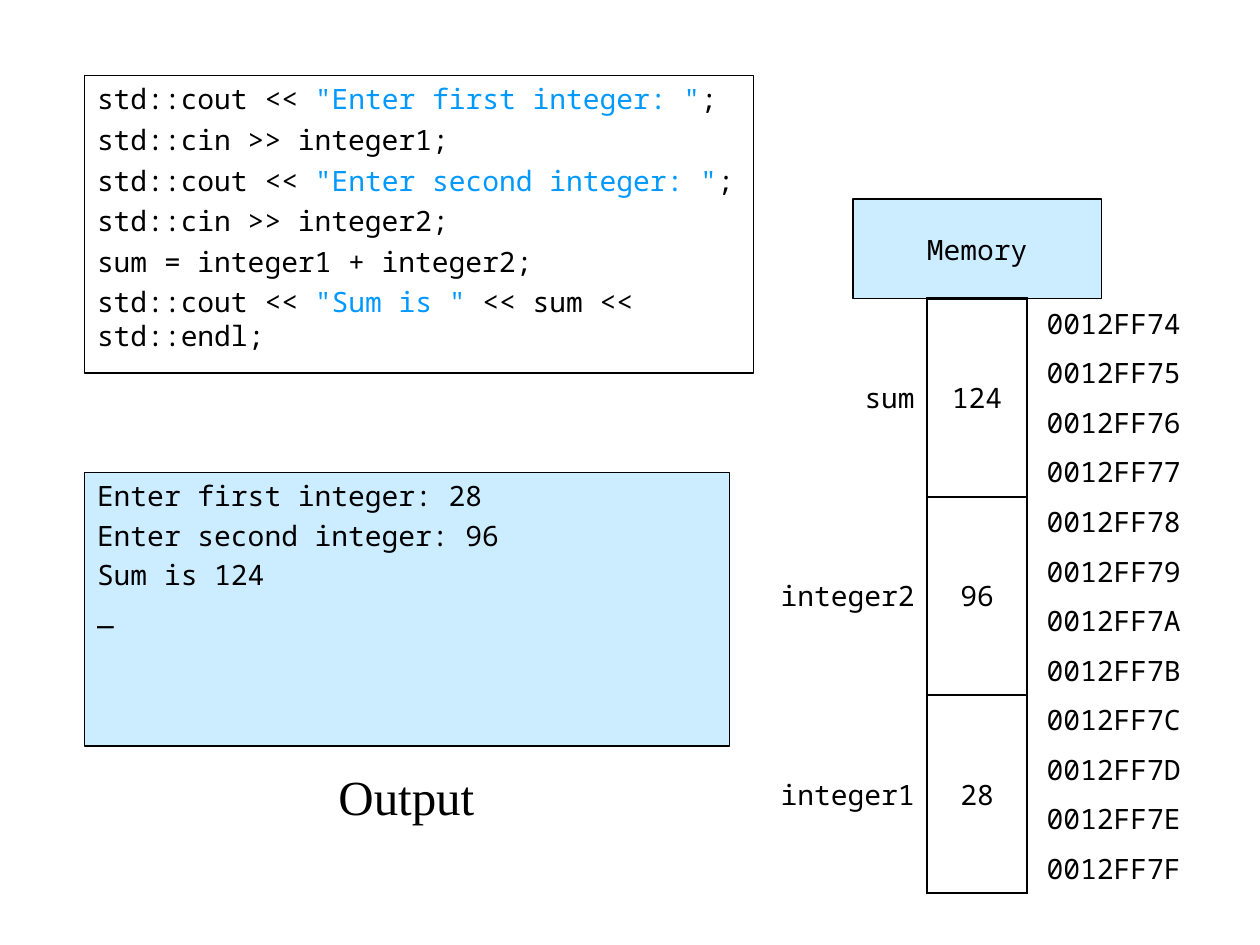
from pptx import Presentation
from pptx.dml.color import RGBColor
from pptx.enum.text import MSO_ANCHOR as ANCHOR, MSO_AUTO_SIZE as AUTO, PP_ALIGN as ALIGN
from pptx.oxml import parse_xml
from pptx.oxml.ns import nsdecls
from pptx.util import Inches, Pt

MONO, SERIF = "Noto Sans Mono", "Times New Roman"
BLACK, STRING, PALE = "000000", "0099FF", "CCECFF"
NO_STYLE = "{2D5ABB26-0587-4C30-8999-92F81FD0307C}"

CODE = [
    [("std::cout << ", BLACK), ('"Enter first integer: "', STRING), (";", BLACK)],
    [("std::cin >> integer1;", BLACK)],
    [("std::cout << ", BLACK), ('"Enter second integer: "', STRING), (";", BLACK)],
    [("std::cin >> integer2;", BLACK)],
    [("sum = integer1 + integer2;", BLACK)],
    [("std::cout << ", BLACK), ('"Sum is "', STRING), (" << sum << std::endl;", BLACK)],
]
OUTPUT = [
    [(line, BLACK)]
    for line in ("Enter first integer: 28", "Enter second integer: 96", "Sum is 124", "_")
]
BOXES = [
    dict(idx=0, at=(2.44, 5.92, 1.57, 0.79), lines=[[("Output", BLACK)]], size=28,
         font=SERIF, align=ALIGN.CENTER, anchor=ANCHOR.MIDDLE),
    dict(idx=2, at=(0.67, 0.6, 5.31, 2.36), lines=CODE, gap=4, outlined=True),
    dict(idx=4, at=(0.67, 3.75, 5.12, 2.17), lines=OUTPUT, gap=3.3, fill=PALE,
         outlined=True),
    dict(idx=1, at=(6.77, 1.58, 1.97, 0.79), lines=[[("Memory", BLACK)]], fill=PALE,
         outlined=True, align=ALIGN.CENTER, anchor=ANCHOR.MIDDLE),
]
VARIABLES = [("sum", "124"), ("integer2", "96"), ("integer1", "28")]
BYTES = 4
FIRST_ADDRESS = 0x0012FF74
TABLE_AT = (5.98, 2.37, 3.54, 4.72)
COLUMNS = (1.38, 0.79, 1.38)


def rgb(value):
    return RGBColor.from_string(value)


def set_all(target, values):
    for name, value in values.items():
        setattr(target, name, value)


def write_line(p, runs, size=16, font=MONO, align=ALIGN.LEFT, gap=0):
    set_all(p, dict(alignment=align, space_before=Pt(gap)))
    for text, color in runs:
        r = p.add_run()
        r.text = text
        set_all(r.font, dict(name=font, size=Pt(size), bold=False))
        r.font.color.rgb = rgb(color)


def fill_box(sp, at, lines, size=16, font=MONO, align=ALIGN.LEFT,
             anchor=ANCHOR.TOP, gap=0, fill=None, outlined=False):
    set_all(sp, dict(zip(("left", "top", "width", "height"), map(Inches, at))))
    if fill:
        sp.fill.solid()
        sp.fill.fore_color.rgb = rgb(fill)
    if outlined:
        sp.line.color.rgb = rgb(BLACK)
        sp.line.width = Pt(0.75)
    tf = sp.text_frame
    set_all(tf, dict(word_wrap=True, auto_size=AUTO.NONE, vertical_anchor=anchor))
    for i, runs in enumerate(lines):
        p = tf.add_paragraph() if i else tf.paragraphs[0]
        pPr = p._p.get_or_add_pPr()
        pPr.set("marL", "0")
        pPr.set("indent", "0")
        pPr.append(parse_xml(f"<a:buNone {nsdecls('a')}/>"))
        write_line(p, runs, size, font, align, gap if i else 0)


def add_borders(cell, borders):
    tcPr = cell._tc.get_or_add_tcPr()
    for side in "LRTB":
        if side in borders:
            tcPr.append(parse_xml(
                f'<a:ln{side} {nsdecls("a")} w="{Pt(borders[side])}">'
                f'<a:solidFill><a:srgbClr val="{BLACK}"/></a:solidFill></a:ln{side}>'))


def fill_cell(cell, text, align, borders, side_margin=0.1):
    set_all(cell, dict(
        margin_left=Inches(side_margin), margin_right=Inches(side_margin),
        margin_top=Inches(0.04), margin_bottom=Inches(0.04),
        vertical_anchor=ANCHOR.MIDDLE))
    add_borders(cell, borders)
    cell.fill.background()
    if text:
        write_line(cell.text_frame.paragraphs[0], [(text, BLACK)], align=align)


def add_memory_table(s):
    count = len(VARIABLES) * BYTES
    frame = s.shapes.add_table(count, len(COLUMNS), *map(Inches, TABLE_AT))
    frame._element.xpath(".//a:tableStyleId")[0].text = NO_STYLE
    table = frame.table
    set_all(table, dict(first_row=False, horz_banding=False))
    for column, width in zip(table.columns, COLUMNS):
        column.width = Inches(width)
    for row in table.rows:
        row.height = Inches(TABLE_AT[3] / count)
    for row in range(count):
        index, byte = divmod(row, BYTES)
        name, value = VARIABLES[index] if byte == 0 else ("", "")
        borders = dict(L=1.5, R=1.5)
        if byte == 0:
            borders["T"] = 1 if index else 1.5
        if byte in (0, BYTES - 1):
            borders["B"] = 1.5 if index == len(VARIABLES) - 1 else 1
        fill_cell(table.cell(row, 0), name, ALIGN.RIGHT, dict(R=1.5))
        fill_cell(table.cell(row, 1), value, ALIGN.CENTER, borders)
        fill_cell(table.cell(row, 2), f"{FIRST_ADDRESS + row:08X}", ALIGN.CENTER,
                  dict(L=1.5), 0.08)
    for row in range(0, count, BYTES):
        for col in (0, 1):
            table.cell(row, col).merge(table.cell(row + BYTES - 1, col))


def main():
    prs = Presentation()
    set_all(prs, dict(slide_width=Inches(10), slide_height=Inches(7.5)))
    s = prs.slides.add_slide(prs.slide_layouts.get_by_name("Comparison"))
    holders = {sp.placeholder_format.idx: sp for sp in s.placeholders}
    for box in BOXES:
        values = dict(box)
        fill_box(holders.pop(values.pop("idx")), **values)
    for sp in holders.values():
        sp._element.getparent().remove(sp._element)
    add_memory_table(s)
    prs.save("out.pptx")


if __name__ == "__main__":
    main()
